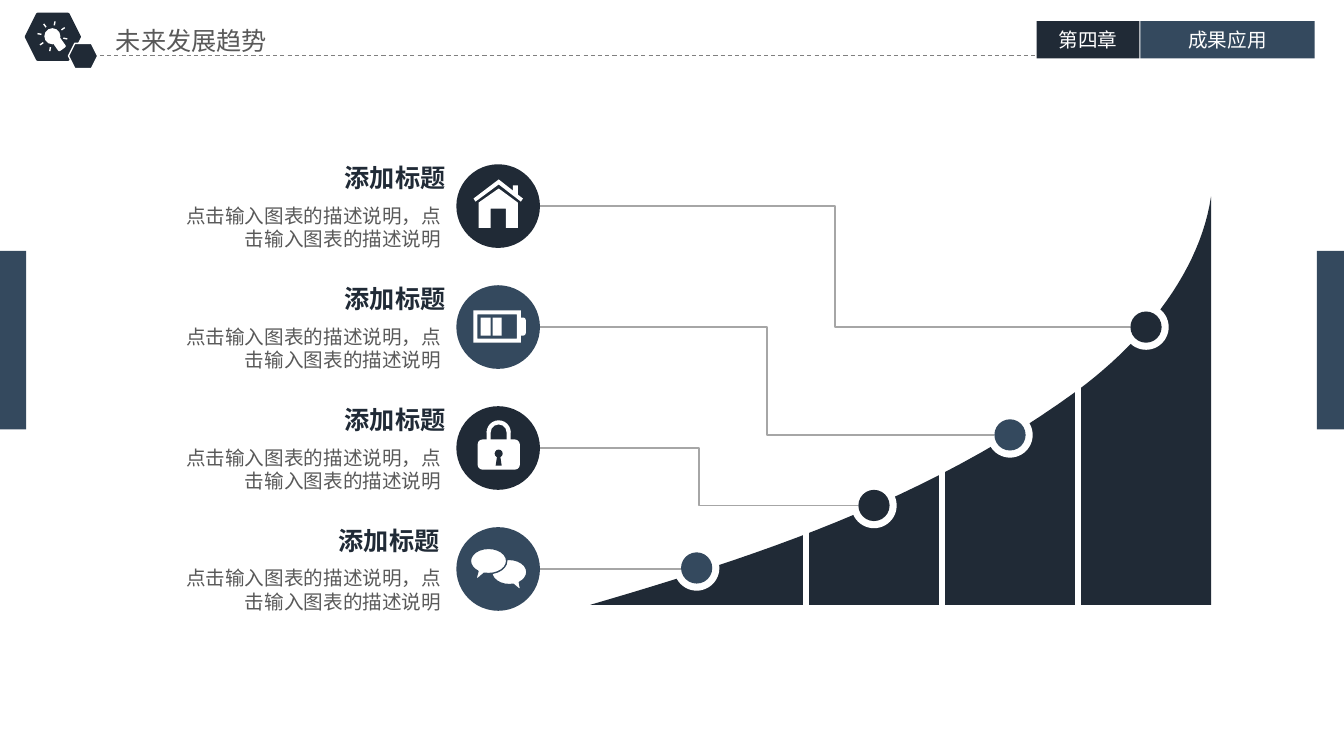
"""Build the growth trend slide: four labelled icons linked to points on a rising curve."""
from math import cos, radians, sin

from lxml import etree
from pptx import Presentation
from pptx.dml.color import RGBColor
from pptx.enum.dml import MSO_LINE
from pptx.enum.shapes import MSO_CONNECTOR, MSO_SHAPE
from pptx.enum.text import MSO_ANCHOR, PP_ALIGN
from pptx.oxml.ns import qn
from pptx.util import Inches, Pt

RECTANGLE, ROUNDED = MSO_SHAPE.RECTANGLE, MSO_SHAPE.ROUNDED_RECTANGLE
OVAL, HEXAGON, FRAME = MSO_SHAPE.OVAL, MSO_SHAPE.HEXAGON, MSO_SHAPE.FRAME
ARC, TRAPEZOID, BUBBLE = MSO_SHAPE.BLOCK_ARC, MSO_SHAPE.TRAPEZOID, MSO_SHAPE.OVAL_CALLOUT
STRAIGHT, ELBOW = MSO_CONNECTOR.STRAIGHT, MSO_CONNECTOR.ELBOW
LEFT, CENTER, RIGHT = PP_ALIGN.LEFT, PP_ALIGN.CENTER, PP_ALIGN.RIGHT
MIDDLE = MSO_ANCHOR.MIDDLE
DASH = MSO_LINE.DASH

NAVY = RGBColor(0x20, 0x2A, 0x36)
BLUE = RGBColor(0x34, 0x49, 0x5E)
WHITE = RGBColor(0xFF, 0xFF, 0xFF)
TEXT_GRAY = RGBColor(0x59, 0x59, 0x59)
RULE_GRAY = RGBColor(0x80, 0x80, 0x80)
LINK_GRAY = RGBColor(0xA6, 0xA6, 0xA6)
FONT = "Noto Sans CJK SC"

PAGE_TITLE = "未来发展趋势"
CHAPTER_TABS = [("第四章", 10.29, 1.02, NAVY), ("成果应用", 11.32, 1.73, BLUE)]
SIDE_TABS = [-0.03, 13.07]
HEADING = "添加标题"
DESCRIPTION = "点击输入图表的描述说明，点击输入图表的描述说明"

HOUSE_OUTLINES = [
    [(0.22, 0.38), (0.42, 0.24), (0.61, 0.38), (0.61, 0.63), (0.49, 0.63),
     (0.49, 0.44), (0.34, 0.44), (0.34, 0.63), (0.22, 0.63)],
    [(0.17, 0.34), (0.42, 0.15), (0.56, 0.26), (0.56, 0.21), (0.61, 0.21),
     (0.61, 0.3), (0.66, 0.34), (0.64, 0.37), (0.42, 0.2), (0.19, 0.37)],
]
BATTERY = [(FRAME, (0.17, 0.25, 0.47, 0.32), WHITE, {}),
           (RECTANGLE, (0.24, 0.32, 0.1, 0.18), WHITE, {}),
           (RECTANGLE, (0.36, 0.32, 0.09, 0.18), WHITE, {}),
           (ROUNDED, (0.62, 0.32, 0.07, 0.18), WHITE, {0: 0.4})]
LOCK = [(ARC, (0.3, 0.14, 0.24, 0.24), WHITE, {2: 0.17}),
        (RECTANGLE, (0.3, 0.25, 0.04, 0.1), WHITE, {}),
        (RECTANGLE, (0.5, 0.25, 0.04, 0.1), WHITE, {}),
        (ROUNDED, (0.21, 0.33, 0.42, 0.3), WHITE, {}),
        (OVAL, (0.38, 0.43, 0.08, 0.08), NAVY, {}),
        (TRAPEZOID, (0.39, 0.49, 0.06, 0.1), NAVY, {})]
CHAT = [(BUBBLE, (0.35, 0.32, 0.35, 0.25), WHITE, {0: 0.33, 1: 0.74}),
        (BUBBLE, (0.14, 0.21, 0.36, 0.25), WHITE, {0: -0.36, 1: 0.78})]
ITEMS = [([], NAVY, 11.22, 3.09, 3.31), (BATTERY, BLUE, 9.87, 4.16, 3.31),
         (LOCK, NAVY, 8.52, 4.86, 3.31), (CHAT, BLUE, 6.76, 5.48, 3.25)]
ICON_LEFT, ICON_TOP, ICON_SIZE, ICON_STEP = 4.53, 1.63, 0.83, 1.2
DOT_SIZE, RING = 0.31, 0.07

CURVE = [[(5.86, 6), (7.47, 5.53), (9.2, 4.97), (10.7, 3.87)],
         [(10.7, 3.87), (11.4, 3.35), (11.92, 2.65), (12.02, 1.95)]]
CURVE_STEPS = 24
BASELINE, SLICE_COUNT, SLICE_STEP, SLICE_GAP = 6, 4, 1.35, 0.06
BULB_CENTER, NECK_ANGLE, RAY_COUNT = (0.52, 0.36), 55, 7


def paint(shape, fill, line=None, line_width=1):
    shape.shadow.inherit = False
    shape.fill.solid()
    shape.fill.fore_color.rgb = fill
    if line is None:
        shape.line.fill.background()
    else:
        shape.line.color.rgb = line
        shape.line.width = Pt(line_width)
    return shape


def add_block(slide, kind, box, fill, line=None, line_width=1):
    return paint(slide.shapes.add_shape(kind, *map(Inches, box)), fill, line, line_width)


def add_polygon(slide, points, fill):
    corners = [(Inches(x), Inches(y)) for x, y in points]
    builder = slide.shapes.build_freeform(*corners[0])
    builder.add_line_segments(corners[1:], close=True)
    paint(builder.convert_to_shape(), fill)


def add_link(slide, kind, start, end, color, width):
    connector = slide.shapes.add_connector(kind, *map(Inches, (*start, *end)))
    connector.line.color.rgb = color
    connector.line.width = Pt(width)
    etree.SubElement(connector._element.spPr, qn("a:effectLst"))
    return connector


def write(shape, text, size, color, align, bold=False, wrap=True, margins=(0.1, 0.05)):
    frame = shape.text_frame
    frame.word_wrap = wrap
    frame.margin_left = frame.margin_right = Inches(margins[0])
    frame.margin_top = frame.margin_bottom = Inches(margins[1])
    paragraph = frame.paragraphs[0]
    paragraph.alignment = align
    run = paragraph.add_run()
    run.text = text
    run.font.size, run.font.bold, run.font.name = Pt(size), bold, FONT
    run.font.color.rgb = color
    etree.SubElement(run._r.get_or_add_rPr(), qn("a:ea")).set("typeface", FONT)


def add_text(slide, box, *args, **options):
    write(slide.shapes.add_textbox(*map(Inches, box)), *args, **options)


def add_bulb(slide):
    x, y = BULB_CENTER
    add_block(slide, OVAL, (x - 0.08, y - 0.08, 0.16, 0.16), WHITE)
    neck = add_block(slide, ROUNDED, (x + 0.02, y + 0.01, 0.09, 0.13), WHITE)
    neck.rotation = NECK_ANGLE - 90
    for ray in range(1, RAY_COUNT + 1):
        angle = radians(NECK_ANGLE + ray * 360 / (RAY_COUNT + 1))
        start, end = [(x + r * cos(angle), y + r * sin(angle)) for r in (0.11, 0.15)]
        add_link(slide, STRAIGHT, start, end, WHITE, 1)


def add_header(slide):
    add_text(slide, (1.08, 0.21, 2.05, 0.38), PAGE_TITLE, 18, TEXT_GRAY, LEFT, margins=(0.07, 0.04))
    add_block(slide, HEXAGON, (0.26, 0.14, 0.53, 0.45), NAVY, NAVY, 2)
    add_link(slide, STRAIGHT, (0.92, 0.55), (10.29, 0.55), RULE_GRAY, 0.75).line.dash_style = DASH
    add_block(slide, HEXAGON, (0.68, 0.43, 0.29, 0.25), NAVY, WHITE, 1)
    add_bulb(slide)
    for label, left, width, fill in CHAPTER_TABS:
        tab = add_block(slide, RECTANGLE, (left, 0.21, width, 0.37), fill)
        write(tab, label, 14, WHITE, CENTER, margins=(0.07, 0.04))
        tab.text_frame.vertical_anchor = MIDDLE
    for left in SIDE_TABS:
        add_block(slide, RECTANGLE, (left, 2.49, 0.29, 1.77), BLUE)


def curve_points():
    points = []
    for controls in CURVE:
        for step in range(CURVE_STEPS + 1):
            t = step / CURVE_STEPS
            weights = ((1 - t) ** 3, 3 * t * (1 - t) ** 2, 3 * t * t * (1 - t), t ** 3)
            points.append([sum(w * p[axis] for w, p in zip(weights, controls)) for axis in (0, 1)])
    return points


def height_at(points, x):
    for (x0, y0), (x1, y1) in zip(points, points[1:]):
        if x0 <= x <= x1 and x0 < x1:
            return y0 + (y1 - y0) * (x - x0) / (x1 - x0)
    return points[-1][1]


def add_curve(slide):
    points = curve_points()
    first, last = points[0][0], points[-1][0]
    for index in range(SLICE_COUNT):
        right = last - index * SLICE_STEP
        left = first if index == SLICE_COUNT - 1 else right - SLICE_STEP + SLICE_GAP
        inner = [point for point in points if left < point[0] < right]
        top = [(left, height_at(points, left)), *inner, (right, height_at(points, right))]
        add_polygon(slide, [*top, (right, BASELINE), (left, BASELINE)], NAVY)


def add_icon(slide, parts, top, color):
    add_block(slide, OVAL, (ICON_LEFT, top, ICON_SIZE, ICON_SIZE), color)
    for kind, (x, y, width, height), fill, adjustments in parts:
        outline = color if kind == BUBBLE else None
        part = add_block(slide, kind, (ICON_LEFT + x, top + y, width, height), fill, outline)
        for index, value in adjustments.items():
            part.adjustments[index] = value
    if not parts:
        for outline in HOUSE_OUTLINES:
            add_polygon(slide, [(ICON_LEFT + x, top + y) for x, y in outline], WHITE)


def add_item(slide, row, parts, color, dot_left, dot_top, heading_left):
    top = ICON_TOP + row * ICON_STEP
    ring_size = DOT_SIZE + 2 * RING
    add_block(slide, OVAL, (dot_left - RING, dot_top - RING, ring_size, ring_size), WHITE)
    start = (ICON_LEFT + ICON_SIZE, top + ICON_SIZE / 2)
    end = (dot_left, dot_top + DOT_SIZE / 2)
    level = abs(start[1] - end[1]) < 0.05
    add_link(slide, STRAIGHT if level else ELBOW, start, (end[0], start[1]) if level else end,
             LINK_GRAY, 1)
    add_icon(slide, parts, top, color)
    add_block(slide, OVAL, (dot_left, dot_top, DOT_SIZE, DOT_SIZE), color)
    add_text(slide, (heading_left, top - 0.07, 1.21, 0.4), HEADING, 18, NAVY, RIGHT,
             bold=True, wrap=False)
    add_text(slide, (1.68, top + 0.34, 2.8, 0.57), DESCRIPTION, 14, TEXT_GRAY, RIGHT)


def main():
    presentation = Presentation()
    presentation.slide_width, presentation.slide_height = Inches(13.34), Inches(7.5)
    slide = presentation.slides.add_slide(presentation.slide_layouts[6])
    add_header(slide)
    add_curve(slide)
    for row, item in enumerate(ITEMS):
        add_item(slide, row, *item)
    presentation.save("out.pptx")


if __name__ == "__main__":
    main()
